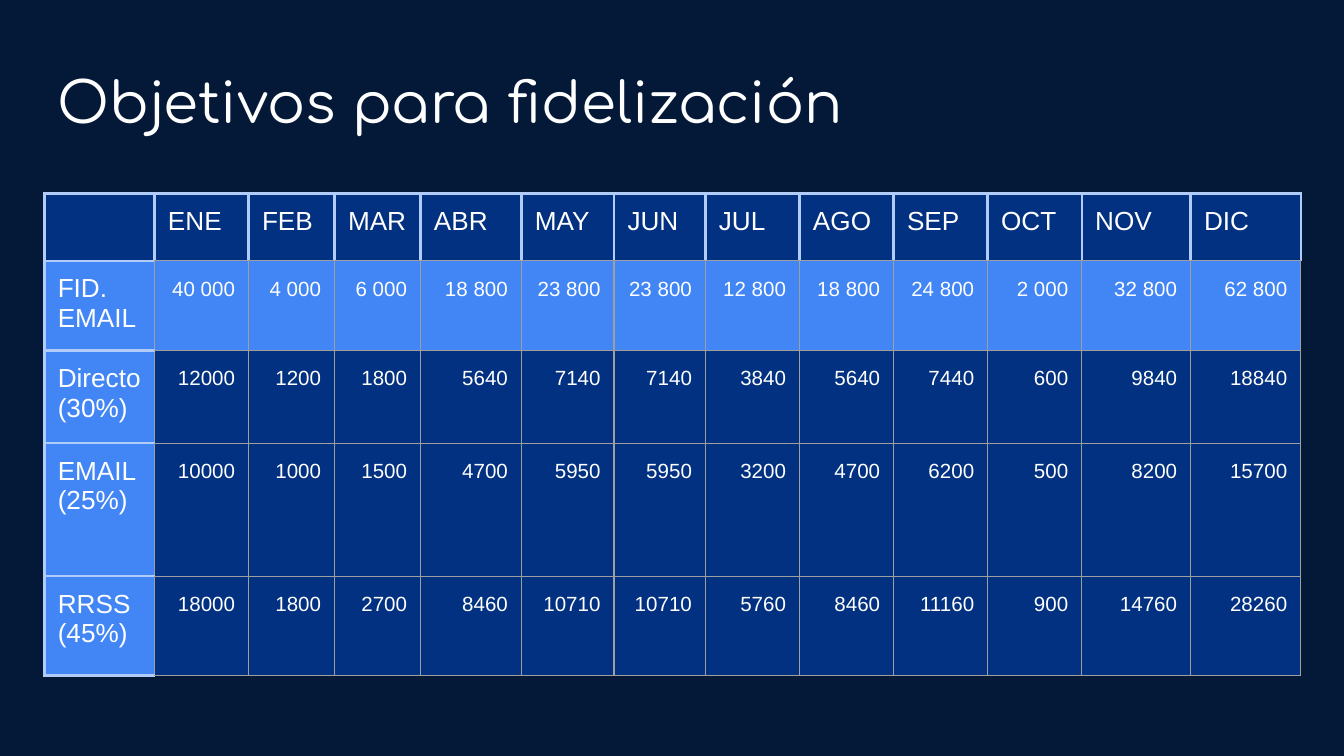
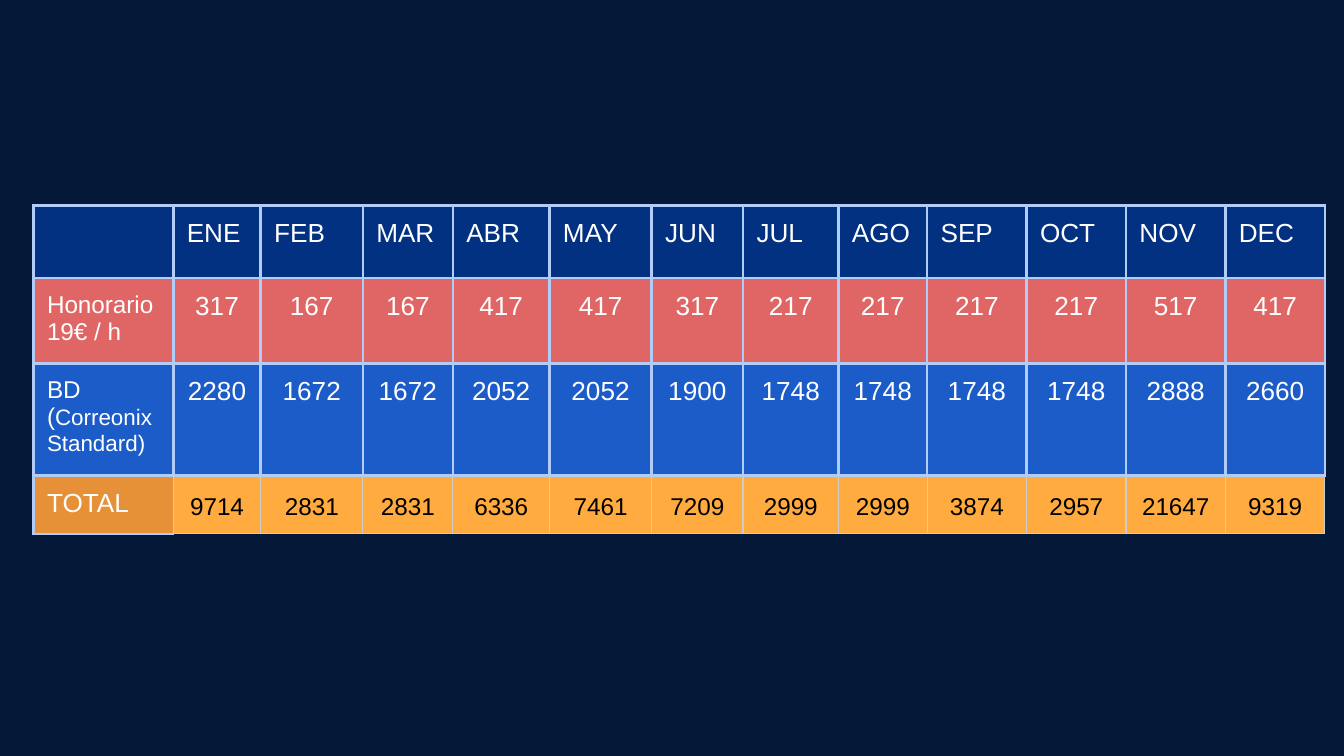
import dataclasses
import typing

import lxml.etree
import pptx
import pptx.dml.color
import pptx.enum.text
import pptx.oxml.ns
import pptx.util

SLIDE_WIDTH = pptx.util.Inches(10)
SLIDE_HEIGHT = SLIDE_WIDTH * 9 // 16
GRID_UNIT = SLIDE_WIDTH // 1000

COLORS = {
    "background": "041938",
    "white": "FFFFFF",
    "black": "000000",
    "navy": "013180",
    "sky": "4286F5",
    "pale": "B1CCF9",
    "gray": "9E9E9E",
    "silver": "CCCCCC",
    "coral": "DF6665",
    "blue": "1B5CC8",
    "orange": "E69138",
    "amber": "FFAB40",
}
BODY_FONT = "Arial"
TITLE_FONT = "Comfortaa"
ALIGN = pptx.enum.text.PP_ALIGN
ANCHOR = pptx.enum.text.MSO_ANCHOR
MONTHS = ("ENE", "FEB", "MAR", "ABR", "MAY", "JUN", "JUL", "AGO", "SEP", "OCT", "NOV")


class Line(typing.NamedTuple):
    color: str
    points: float


class Borders(typing.NamedTuple):
    left: Line
    right: Line
    top: Line
    bottom: Line


class Run(typing.NamedTuple):
    text: str
    size: float


Paragraphs = tuple[tuple[Run, ...], ...]


@dataclasses.dataclass(frozen=True)
class CellStyle:
    fill: str
    borders: Borders
    color: str = "white"
    align: ALIGN = ALIGN.LEFT
    anchor: ANCHOR = ANCHOR.TOP
    spacing: float = 1.0
    inset: tuple[int, int] = (10, 10)


@dataclasses.dataclass(frozen=True)
class TableRow:
    height: int
    label: Paragraphs
    label_style: CellStyle
    values: tuple[str, ...]
    value_size: float
    value_style: CellStyle


@dataclasses.dataclass(frozen=True)
class MonthlyTable:
    left: int
    top: int
    columns: tuple[int, ...]
    rows: tuple[TableRow, ...]


PALE_LINE = Line("pale", 1.5)
GRAY_LINE = Line("gray", 0.75)
SILVER_LINE = Line("silver", 0.75)
PALE_BOX = Borders(*[PALE_LINE] * 4)
GRAY_BOX = Borders(*[GRAY_LINE] * 4)

CORNER = CellStyle("navy", PALE_BOX)
GOAL_MONTH = CellStyle("navy", PALE_BOX._replace(bottom=GRAY_LINE))
GOAL_LABEL = CellStyle("sky", PALE_BOX._replace(right=GRAY_LINE))
GOAL_TOTAL = CellStyle("sky", GRAY_BOX, align=ALIGN.RIGHT, spacing=1.15)
GOAL_VALUE = dataclasses.replace(GOAL_TOTAL, fill="navy")
FEE_LABEL = CellStyle("coral", PALE_BOX)
FEE_VALUE = dataclasses.replace(FEE_LABEL, align=ALIGN.CENTER)
DATABASE_LABEL = CellStyle("blue", PALE_BOX)
DATABASE_VALUE = dataclasses.replace(DATABASE_LABEL, align=ALIGN.CENTER)
SUM_LABEL = CellStyle("orange", PALE_BOX._replace(right=SILVER_LINE))
SUM_VALUE = CellStyle(
    "amber",
    Borders(SILVER_LINE, SILVER_LINE, PALE_LINE, SILVER_LINE),
    "black",
    ALIGN.CENTER,
    ANCHOR.MIDDLE,
    1.15,
    (3, 2),
)


def rgb(color: str) -> pptx.dml.color.RGBColor:
    return pptx.dml.color.RGBColor.from_string(COLORS[color])


def stacked(size: float, *lines: str) -> Paragraphs:
    return tuple((Run(line, size),) for line in lines)


def add_run(paragraph, run: Run, font: str, color: str) -> None:
    piece = paragraph.add_run()
    piece.text = run.text
    piece.font.size = pptx.util.Pt(run.size)
    piece.font.name = font
    piece.font.color.rgb = rgb(color)


def draw_borders(cell, borders: Borders) -> None:
    properties = cell._tc.get_or_add_tcPr()
    for side, line in zip("LRTB", borders):
        edge = lxml.etree.SubElement(
            properties,
            pptx.oxml.ns.qn(f"a:ln{side}"),
            w=str(pptx.util.Pt(line.points)),
        )
        paint = lxml.etree.SubElement(edge, pptx.oxml.ns.qn("a:solidFill"))
        lxml.etree.SubElement(
            paint, pptx.oxml.ns.qn("a:srgbClr"), val=COLORS[line.color]
        )


def fill_cell(cell, content: Paragraphs, style: CellStyle) -> None:
    draw_borders(cell, style.borders)
    cell.fill.solid()
    cell.fill.fore_color.rgb = rgb(style.fill)
    horizontal, vertical = (units * GRID_UNIT for units in style.inset)
    cell.margin_left = cell.margin_right = horizontal
    cell.margin_top = cell.margin_bottom = vertical
    cell.vertical_anchor = style.anchor
    for index, runs in enumerate(content):
        frame = cell.text_frame
        paragraph = frame.add_paragraph() if index else frame.paragraphs[0]
        paragraph.alignment = style.align
        paragraph.line_spacing = style.spacing
        for run in runs:
            add_run(paragraph, run, BODY_FONT, style.color)


def draw_table(slide, monthly: MonthlyTable) -> None:
    heights = [row.height for row in monthly.rows]
    table = slide.shapes.add_table(
        len(heights),
        len(monthly.columns),
        monthly.left * GRID_UNIT,
        monthly.top * GRID_UNIT,
        sum(monthly.columns) * GRID_UNIT,
        sum(heights) * GRID_UNIT,
    ).table
    table.first_row = table.horz_banding = False
    for column, width in zip(table.columns, monthly.columns):
        column.width = width * GRID_UNIT
    for index, row in enumerate(monthly.rows):
        table.rows[index].height = row.height * GRID_UNIT
        fill_cell(table.cell(index, 0), row.label, row.label_style)
        for month, value in enumerate(row.values, 1):
            fill_cell(
                table.cell(index, month),
                stacked(row.value_size, value),
                row.value_style,
            )


def add_slide(deck):
    slide = deck.slides.add_slide(deck.slide_layouts[6])
    slide.background.fill.solid()
    slide.background.fill.fore_color.rgb = rgb("background")
    return slide


def draw_title(slide, text: str) -> None:
    box = slide.shapes.add_textbox(
        *(units * GRID_UNIT for units in (33, 40, 694, 63))
    )
    frame = box.text_frame
    frame.word_wrap = True
    frame.margin_left = frame.margin_right = 10 * GRID_UNIT
    frame.margin_top = frame.margin_bottom = 10 * GRID_UNIT
    add_run(frame.paragraphs[0], Run(text, 30.2), TITLE_FONT, "white")


def header_row(height: int, december: str, style: CellStyle) -> TableRow:
    return TableRow(height, (), CORNER, (*MONTHS, december), 14, style)


def channel_row(
    height: int, channel: str, percent: int, goals: tuple[int, ...]
) -> TableRow:
    values = tuple(str(goal * percent // 100) for goal in goals)
    label = stacked(14, channel, f"({percent}%)")
    return TableRow(height, label, GOAL_LABEL, values, 11, GOAL_VALUE)


def goals_table() -> MonthlyTable:
    goals = (
        40000, 4000, 6000, 18800, 23800, 23800,
        12800, 18800, 24800, 2000, 32800, 62800,
    )
    totals = tuple(f"{goal:,}".replace(",", " ") for goal in goals)
    return MonthlyTable(
        33,
        144,
        (82, 70, 64, 64, 75, 69, 68, 70, 70, 70, 70, 81, 82),
        (
            header_row(43, "DIC", GOAL_MONTH),
            TableRow(
                53, stacked(14, "FID.", "EMAIL"), GOAL_LABEL, totals, 11, GOAL_TOTAL
            ),
            channel_row(69, "Directo", 30, goals),
            channel_row(99, "EMAIL", 25, goals),
            channel_row(74, "RRSS", 45, goals),
        ),
    )


def costs_table() -> MonthlyTable:
    fees = "317 167 167 417 417 317 217 217 217 217 517 417"
    database = "2280 1672 1672 2052 2052 1900 1748 1748 1748 1748 2888 2660"
    totals = "9714 2831 2831 6336 7461 7209 2999 2999 3874 2957 21647 9319"
    database_label = ((Run("BD (", 13), Run("Correonix Standard)", 12)),)
    return MonthlyTable(
        25,
        153,
        (104, 65, 76, 67, 72, 76, 68, 71, 66, 74, 74, 74, 74),
        (
            header_row(54, "DEC", CORNER),
            TableRow(
                52,
                stacked(13, "Honorario", "19€ / h"),
                FEE_LABEL,
                tuple(fees.split()),
                14,
                FEE_VALUE,
            ),
            TableRow(
                82,
                database_label,
                DATABASE_LABEL,
                tuple(database.split()),
                14,
                DATABASE_VALUE,
            ),
            TableRow(
                35,
                stacked(14, "TOTAL"),
                SUM_LABEL,
                tuple(totals.split()),
                13,
                SUM_VALUE,
            ),
        ),
    )


def main() -> None:
    deck = pptx.Presentation()
    deck.slide_width = SLIDE_WIDTH
    deck.slide_height = SLIDE_HEIGHT
    goals_slide = add_slide(deck)
    draw_title(goals_slide, "Objetivos para fidelización")
    draw_table(goals_slide, goals_table())
    draw_table(add_slide(deck), costs_table())
    deck.save("out.pptx")


if __name__ == "__main__":
    main()
